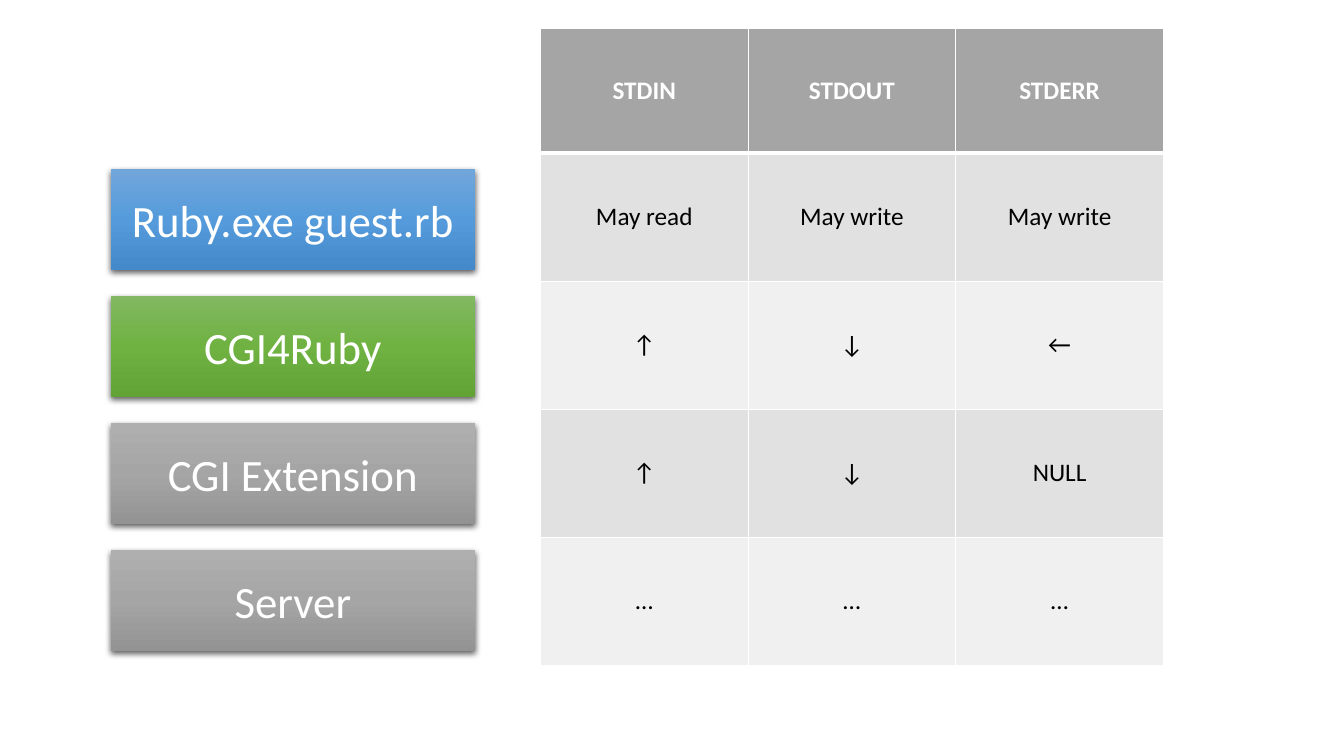
import copy
import lxml.etree
import pptx
import pptx.dml.color
import pptx.enum.shapes
import pptx.enum.text
import pptx.oxml
import pptx.oxml.ns
import pptx.util

Inches = pptx.util.Inches
RGB = pptx.dml.color.RGBColor.from_string
qn = pptx.oxml.ns.qn

COLORS = {
    "white": "FFFFFF", "black": "000000", "header": "A5A5A5",
    "dark_band": "E1E1E1", "light_band": "F0F0F0",
}
GRADIENTS = {
    "blue": ["71A6DB", "559BDB", "448ACA"],
    "green": ["81B861", "6FB242", "62A336"],
    "gray": ["AFAFAF", "A5A5A5", "939393"],
}
LAYERS = [
    ("Ruby.exe guest.rb", "blue"),
    ("CGI4Ruby", "green"),
    ("CGI Extension", "gray"),
    ("Server", "gray"),
]
STREAMS = [
    ["STDIN", "STDOUT", "STDERR"],
    ["May read", "May write", "May write"],
    ["↑", "↓", "←"],
    ["↑", "↓", "NULL"],
    ["…", "…", "…"],
]
SHADOW = (
    f'<a:outerShdw {pptx.oxml.ns.nsdecls("a")} blurRad="57150" dist="19050" '
    'dir="5400000" algn="ctr" rotWithShape="0">'
    f'<a:srgbClr val="{COLORS["black"]}"><a:alpha val="63000"/></a:srgbClr></a:outerShdw>'
)


def write_centered(frame, text, color, **font_format):
    paragraph = frame.paragraphs[0]
    paragraph.alignment = pptx.enum.text.PP_ALIGN.CENTER
    run = paragraph.add_run()
    run.text = text
    for key, value in {"name": "Calibri", **font_format}.items():
        setattr(run.font, key, value)
    run.font.color.rgb = RGB(COLORS[color])


def add_border(cell, side, width):
    line = lxml.etree.SubElement(
        cell._tc.get_or_add_tcPr(), qn(f"a:ln{side}"), w=str(pptx.util.Pt(width)))
    fill = lxml.etree.SubElement(line, qn("a:solidFill"))
    lxml.etree.SubElement(fill, qn("a:srgbClr"), val=COLORS["white"])


deck = pptx.Presentation()
deck.slide_width = Inches(13.33)
deck.slide_height = Inches(7.5)
slide = deck.slides.add_slide(deck.slide_layouts[6])

for level, (name, gradient) in enumerate(LAYERS):
    layer = slide.shapes.add_shape(
        pptx.enum.shapes.MSO_SHAPE.RECTANGLE,
        Inches(1.1), Inches(1.68 + level * 1.26), Inches(3.61), Inches(1))
    layer.fill.gradient()
    layer.fill.gradient_angle = 270
    first_stop = layer._element.spPr.find(".//" + qn("a:gs"))
    first_stop.addnext(copy.deepcopy(first_stop))
    for stop, position, color in zip(layer.fill.gradient_stops, (0, 0.5, 1), GRADIENTS[gradient]):
        stop.position = position
        stop.color.rgb = RGB(color)
    layer.line.fill.background()
    layer.shadow.inherit = False
    effects = layer._element.spPr.find(qn("a:effectLst"))
    effects.append(pptx.oxml.parse_xml(SHADOW))
    layer.text_frame.word_wrap = True
    layer.text_frame.vertical_anchor = pptx.enum.text.MSO_ANCHOR.MIDDLE
    write_centered(layer.text_frame, name, "white", size=pptx.util.Pt(32))

streams = slide.shapes.add_table(
    len(STREAMS), 3, Inches(5.36), Inches(0.28), Inches(6.18), Inches(6.31)).table
for column in streams.columns:
    column.width = Inches(2.06)

for row_index, labels in enumerate(STREAMS):
    is_header = row_index == 0
    streams.rows[row_index].height = Inches(1.24 if is_header else 1.27)
    band = "header" if is_header else "dark_band" if row_index % 2 else "light_band"
    borders = {"L": 1, "R": 1, "T": 3 if row_index == 1 else 1, "B": 3 if is_header else 1}
    for column_index, label in enumerate(labels):
        cell = streams.cell(row_index, column_index)
        for side, width in borders.items():
            add_border(cell, side, width)
        cell.fill.solid()
        cell.fill.fore_color.rgb = RGB(COLORS[band])
        cell.vertical_anchor = pptx.enum.text.MSO_ANCHOR.MIDDLE
        write_centered(cell.text_frame, label, "white" if is_header else "black",
                       size=pptx.util.Pt(18), bold=is_header)

deck.save("out.pptx")
